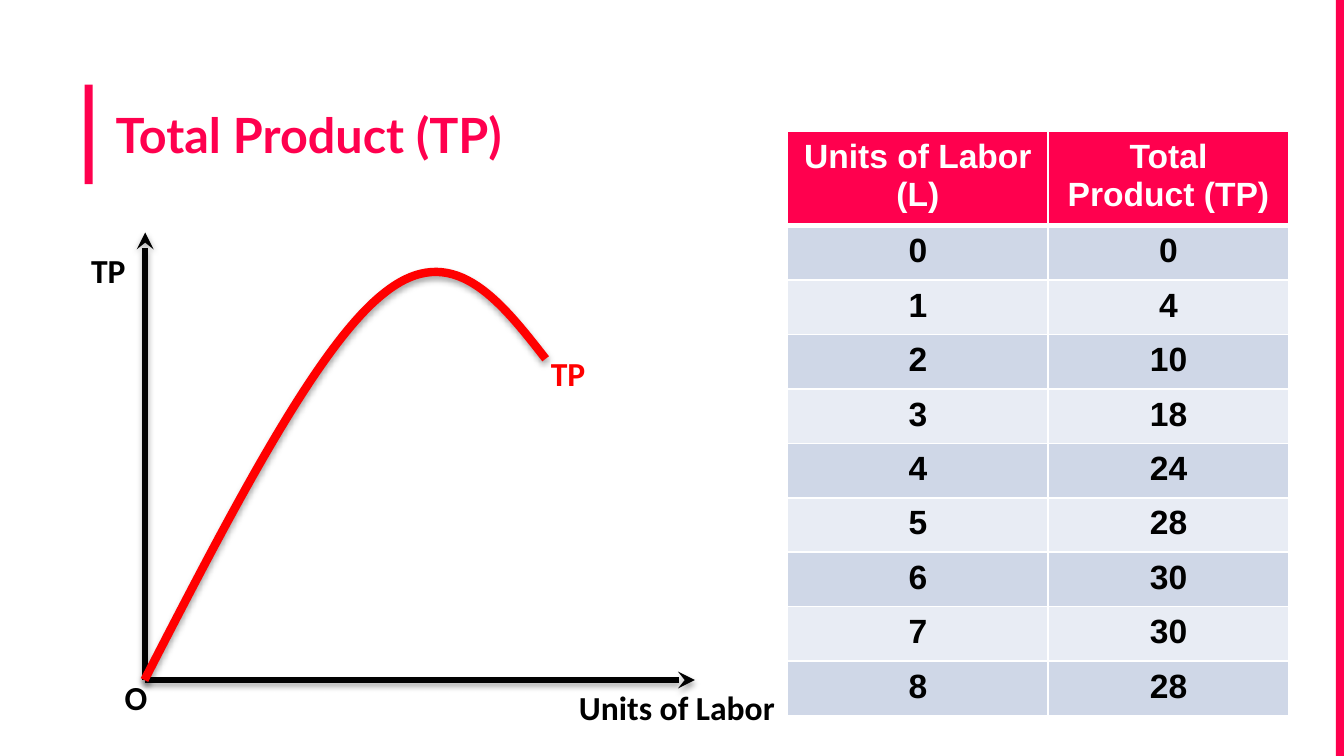
from dataclasses import dataclass

import lxml.etree
import pptx
import pptx.dml.color
import pptx.enum.shapes
import pptx.enum.text
import pptx.oxml
import pptx.oxml.ns
import pptx.util

PX = 4572  # EMU in one px, at 200 px to the inch
COLORS = {
    "accent": "FF004E",
    "curve": "FF0000",
    "ink": "000000",
    "paper": "FFFFFF",
    "band_dark": "CFD7E7",
    "band_light": "E8ECF4",
}
ORIGIN = (216, 1012)
HEADERS = ("Units of Labor (L)", "Total Product (TP)")
TOTAL_PRODUCT = (0, 4, 10, 18, 24, 28, 30, 30, 28)
COLUMN_WIDTHS = (388, 358)
HEADER_HEIGHT, ROW_HEIGHT = 140, 81
# Start point, then two control points and an end point for each Bezier arc
CURVE = ((215, 1012), (344, 762), (472, 514), (572, 436),
         (672, 356), (742, 444), (812, 534))


@dataclass
class Bar:
    left: int
    top: int
    width: int
    height: int


@dataclass
class Label:
    text: str
    left: int
    top: int
    width: int
    color: str = "ink"


BARS = (Bar(126, 126, 12, 148), Bar(1988, 0, 12, 1125))
LABELS = (
    Label("Units of Labor", 842, 1012, 334),
    Label("TP", 116, 362, 92),
    Label("O", 166, 998, 74),
    Label("TP", 800, 516, 92, "curve"),
)


def px(*values: int) -> list[pptx.util.Emu]:
    return [pptx.util.Emu(value * PX) for value in values]


def rgb(name: str) -> pptx.dml.color.RGBColor:
    return pptx.dml.color.RGBColor.from_string(COLORS[name])


def format_runs(paragraph, font_name: str, size: int, color: str) -> None:
    for run in paragraph.runs:
        run.font.name = font_name
        run.font.size = pptx.util.Pt(size)
        run.font.bold = True
        run.font.color.rgb = rgb(color)


def style_line(shape, color: str, width: float) -> None:
    """Set the line and put a soft shadow below it."""
    shape.line.color.rgb = rgb(color)
    shape.line.width = pptx.util.Pt(width)
    shape._element.spPr.append(pptx.oxml.parse_xml(
        f'<a:effectLst {pptx.oxml.ns.nsdecls("a")}>'
        '<a:outerShdw blurRad="40000" dist="23000" dir="5400000" rotWithShape="0">'
        f'<a:srgbClr val="{COLORS["ink"]}"><a:alpha val="35000"/></a:srgbClr>'
        '</a:outerShdw></a:effectLst>'))


def add_bar(slide, bar: Bar) -> None:
    shape = slide.shapes.add_shape(
        pptx.enum.shapes.MSO_SHAPE.RECTANGLE,
        *px(bar.left, bar.top, bar.width, bar.height))
    shape.shadow.inherit = False
    shape.fill.solid()
    shape.fill.fore_color.rgb = rgb("accent")
    shape.line.fill.background()


def set_title(slide, text: str) -> None:
    title = slide.shapes.title
    title.left, title.top, title.width, title.height = px(152, 136, 1816, 144)
    frame = title.text_frame
    frame.text = text
    frame.word_wrap = True
    frame.auto_size = pptx.enum.text.MSO_AUTO_SIZE.NONE
    frame.vertical_anchor = pptx.enum.text.MSO_ANCHOR.TOP
    frame.margin_left, frame.margin_top, frame.margin_right, frame.margin_bottom = (
        px(20, 20, 20, 20))
    paragraph = frame.paragraphs[0]
    paragraph.alignment = pptx.enum.text.PP_ALIGN.LEFT
    format_runs(paragraph, "Lato", 26, "accent")


def add_borders(cell, top: int, bottom: int) -> None:
    """Give a cell white borders, with top and bottom widths in points."""
    properties = cell._tc.get_or_add_tcPr()
    for side, width in (("L", 1), ("R", 1), ("T", top), ("B", bottom)):
        properties.append(pptx.oxml.parse_xml(
            f'<a:ln{side} {pptx.oxml.ns.nsdecls("a")} w="{pptx.util.Pt(width)}">'
            f'<a:solidFill><a:srgbClr val="{COLORS["paper"]}"/></a:solidFill>'
            f'</a:ln{side}>'))


def add_product_table(slide) -> None:
    rows = [HEADERS, *enumerate(TOTAL_PRODUCT)]
    height = HEADER_HEIGHT + ROW_HEIGHT * len(TOTAL_PRODUCT)
    table = slide.shapes.add_table(
        len(rows), len(HEADERS), *px(1172, 196, sum(COLUMN_WIDTHS), height)).table
    for column, width in zip(table.columns, px(*COLUMN_WIDTHS)):
        column.width = width
    for index, values in enumerate(rows):
        is_header = index == 0
        table.rows[index].height = px(HEADER_HEIGHT if is_header else ROW_HEIGHT)[0]
        band = "band_dark" if index % 2 else "band_light"
        for cell, value in zip(table.rows[index].cells, values):
            add_borders(cell, top=3 if index == 1 else 1, bottom=3 if is_header else 1)
            cell.fill.solid()
            cell.fill.fore_color.rgb = rgb("accent" if is_header else band)
            cell.text_frame.text = str(value)
            paragraph = cell.text_frame.paragraphs[0]
            paragraph.alignment = pptx.enum.text.PP_ALIGN.CENTER
            format_runs(paragraph, "Arial", 18, "paper" if is_header else "ink")


def add_axis(slide, end: tuple[int, int]) -> None:
    axis = slide.shapes.add_connector(
        pptx.enum.shapes.MSO_CONNECTOR.STRAIGHT, *px(*ORIGIN, *end))
    style_line(axis, "ink", 3)
    lxml.etree.SubElement(
        axis.line._get_or_add_ln(), pptx.oxml.ns.qn("a:tailEnd"), type="stealth")


def add_curve(slide) -> None:
    """Draw the control polygon, then turn each three segments into a Bezier arc."""
    builder = slide.shapes.build_freeform(*CURVE[0], scale=PX)
    builder.add_line_segments(CURVE[1:], close=False)
    curve = builder.convert_to_shape()
    curve.fill.background()
    style_line(curve, "curve", 4.5)
    segments = list(curve._element.iter(pptx.oxml.ns.qn("a:lnTo")))
    outline = segments[0].getparent()
    for start in range(0, len(segments), 3):
        arc = lxml.etree.SubElement(outline, pptx.oxml.ns.qn("a:cubicBezTo"))
        for segment in segments[start:start + 3]:
            arc.append(segment[0])
            outline.remove(segment)


def add_label(slide, label: Label) -> None:
    box = slide.shapes.add_textbox(*px(label.left, label.top, label.width, 80))
    frame = box.text_frame
    frame.word_wrap = False
    frame.auto_size = pptx.enum.text.MSO_AUTO_SIZE.SHAPE_TO_FIT_TEXT
    frame.text = label.text
    format_runs(frame.paragraphs[0], "Calibri", 18, label.color)


def main() -> None:
    presentation = pptx.Presentation()
    presentation.slide_width, presentation.slide_height = px(2000, 1125)
    slide = presentation.slides.add_slide(presentation.slide_layouts[5])
    for bar in BARS:
        add_bar(slide, bar)
    set_title(slide, "Total Product (TP)")
    add_product_table(slide)
    for end in ((ORIGIN[0], 346), (1034, ORIGIN[1])):
        add_axis(slide, end)
    add_curve(slide)
    for label in LABELS:
        add_label(slide, label)
    presentation.save("out.pptx")


if __name__ == "__main__":
    main()
